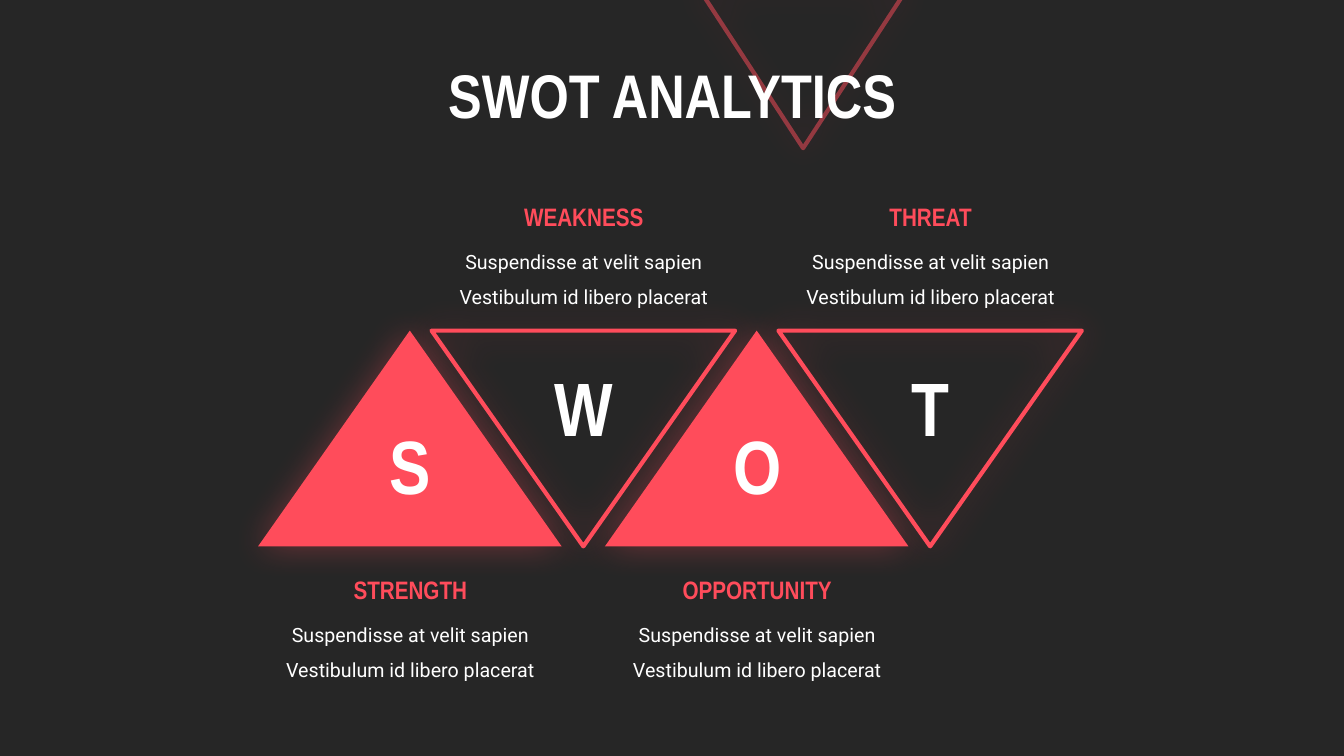
from lxml.etree import SubElement
from pptx import Presentation
from pptx.dml.color import RGBColor
from pptx.enum.shapes import MSO_SHAPE
from pptx.enum.text import MSO_ANCHOR, PP_ALIGN
from pptx.oxml.ns import qn
from pptx.util import Inches, Pt

COLORS = {"background": "262626", "accent": "FF4C5B", "text": "FFFFFF"}
RGB = {name: RGBColor.from_string(value) for name, value in COLORS.items()}
FORMATS = {
    "title": {"name": "Arial Narrow", "size": Pt(44), "bold": True},
    "letter": {"name": "Arial Narrow", "size": Pt(54), "bold": True},
    "heading": {"name": "Arial Narrow", "size": Pt(18), "bold": True},
    "body": {"name": "Roboto", "size": Pt(14), "bold": False},
}
BODY = "Suspendisse at velit sapien Vestibulum id libero placerat"


def add_triangle(left, top, width, height, filled):
    """Add a glowing triangle: filled and upright, or outlined and pointing down."""
    sp = s.shapes.add_shape(MSO_SHAPE.ISOSCELES_TRIANGLE, Inches(left),
                            Inches(top), Inches(width), Inches(height))
    if filled:
        sp.fill.solid()
        sp.fill.fore_color.rgb = RGB["accent"]
        sp.line.fill.background()
    else:
        sp.rotation = 180
        sp.fill.background()
        sp.line.color.rgb = RGB["accent"]
        sp.line.width = Pt(3)
    sp.shadow.inherit = False
    effects = sp.element.spPr.find(qn("a:effectLst"))
    glow = SubElement(effects, qn("a:outerShdw"), blurRad=str(Pt(25)), dist="0",
                      dir="0", algn="ctr", rotWithShape="0")
    color = SubElement(glow, qn("a:srgbClr"), val=COLORS["accent"])
    SubElement(color, qn("a:alpha"), val="35000")
    return sp


def set_text(sp, text, style, color="text", spacing=1.0):
    tf = sp.text_frame
    tf.word_wrap = True
    p = tf.paragraphs[0]
    p.alignment = PP_ALIGN.CENTER
    p.line_spacing = spacing
    r = p.add_run()
    r.text = text
    for key, value in FORMATS[style].items():
        setattr(r.font, key, value)
    r.font.color.rgb = RGB[color]


prs = Presentation()
prs.slide_width, prs.slide_height = Inches(13.33), Inches(7.5)
s = prs.slides.add_slide(prs.slide_layouts[5])
s.background.fill.solid()
s.background.fill.fore_color.rgb = RGB["background"]

title = s.shapes.title
title.left, title.top = Inches(3.27), Inches(0.49)
title.width, title.height = Inches(6.8), Inches(0.98)
title.text_frame.vertical_anchor = MSO_ANCHOR.MIDDLE
set_text(title, "SWOT ANALYTICS", "title", spacing=0.9)

# Half-transparent triangle behind the title
accent = add_triangle(6.94, -0.1, 2.05, 1.57, filled=False)
line_color = accent.line._ln.find(".//" + qn("a:srgbClr"))
SubElement(line_color, qn("a:alpha"), val="50000")
title.element.addprevious(accent.element)

headings = ["STRENGTH", "WEAKNESS", "OPPORTUNITY", "THREAT"]
for i in range(len(headings)):
    add_triangle(2.56 + 1.72 * i, 3.28, 3.01, 2.14, filled=i % 2 == 0)

for i, heading in enumerate(headings):
    center = 4.07 + 1.72 * i
    upright = i % 2 == 0
    letter_top, heading_top = (4.11, 5.65) if upright else (3.53, 1.95)
    for text, style, color, spacing, top, width, height in [
        (heading[0], "letter", "text", 1.0, letter_top, 1.01, 1.01),
        (BODY, "body", "text", 1.5, heading_top + 0.36, 2.98, 0.77),
        (heading, "heading", "accent", 1.0, heading_top, 2.45, 0.4),
    ]:
        box = s.shapes.add_textbox(Inches(center - width / 2), Inches(top),
                                   Inches(width), Inches(height))
        set_text(box, text, style, color, spacing)

prs.save("out.pptx")
